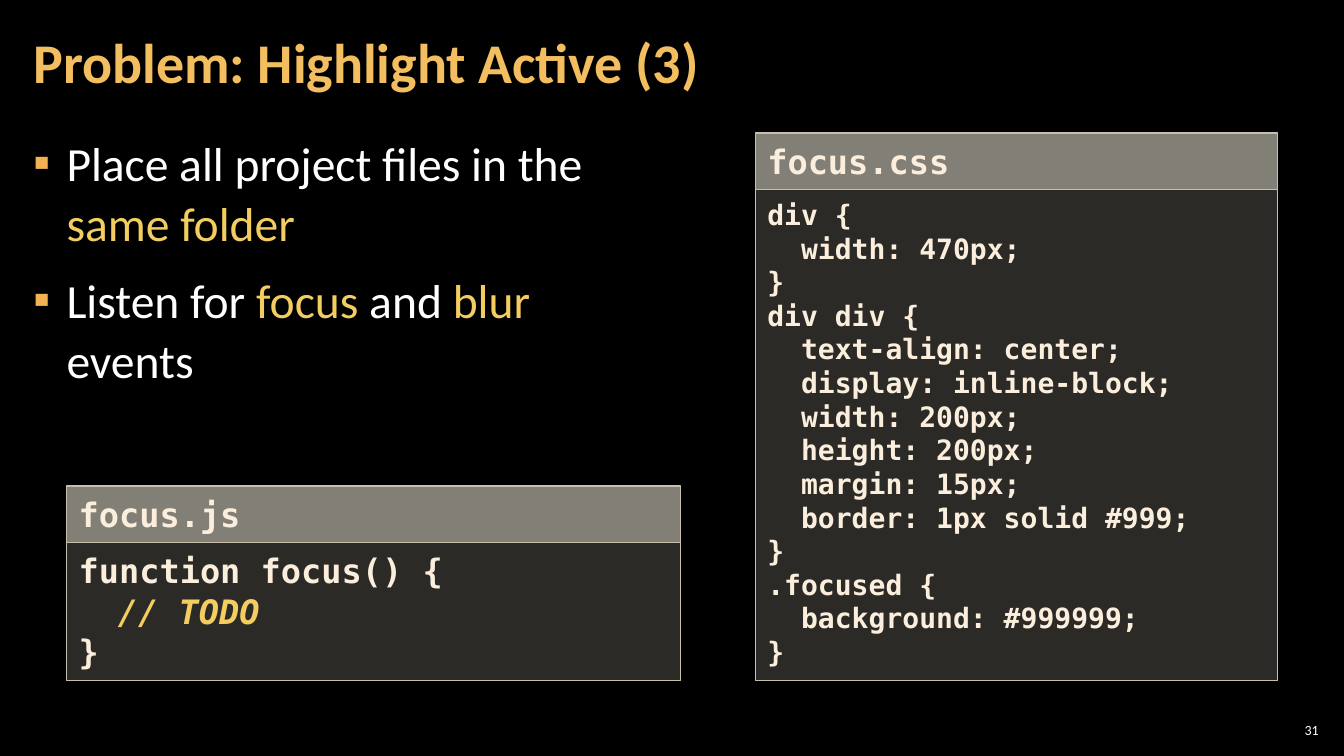
from lxml.etree import SubElement
from pptx import Presentation
from pptx.dml.color import RGBColor
from pptx.enum.shapes import MSO_SHAPE
from pptx.enum.text import MSO_ANCHOR, MSO_AUTO_SIZE, PP_ALIGN
from pptx.oxml.ns import qn
from pptx.util import Inches, Pt

WHITE = "FFFFFF"
GOLD = "F3CD60"
CREAM = "FBEEDC"


def color(hex_string):
    return RGBColor.from_string(hex_string)


def add_text(paragraph, text, font, size, fill, bold=False, italic=False):
    run = paragraph.add_run()
    run.text = text
    run.font.name = font
    run.font.size = Pt(size)
    run.font.color.rgb = color(fill)
    run.font.bold = bold
    run.font.italic = italic


def set_indent(paragraph, inches):
    properties = paragraph._p.get_or_add_pPr()
    properties.set("marL", str(Inches(inches)))
    properties.set("indent", str(-Inches(inches)))
    return properties


class CodeSlide:
    text_font = "Calibri"
    code_font = "DejaVu Sans Mono"
    header_height = 0.56

    def __init__(self, presentation):
        self.slide = presentation.slides.add_slide(presentation.slide_layouts[1])
        self.slide.background.fill.solid()
        self.slide.background.fill.fore_color.rgb = color("000000")

    def frame(self, shape, side, top, anchor=MSO_ANCHOR.TOP):
        frame = shape.text_frame
        frame.word_wrap = True
        frame.auto_size = MSO_AUTO_SIZE.NONE
        frame.vertical_anchor = anchor
        frame.margin_left = frame.margin_right = Inches(side)
        frame.margin_top = frame.margin_bottom = Inches(top)
        return frame

    def place(self, shape, left, top, width, height):
        shape.left, shape.top = Inches(left), Inches(top)
        shape.width, shape.height = Inches(width), Inches(height)

    def title(self, text, *bounds):
        shape = self.slide.shapes.title
        self.place(shape, *bounds)
        paragraph = self.frame(shape, 0.12, 0.04, MSO_ANCHOR.MIDDLE).paragraphs[0]
        paragraph.alignment = PP_ALIGN.LEFT
        paragraph.line_spacing = 0.9
        add_text(paragraph, text, self.text_font, 40, "F3BE60", bold=True)

    def bullets(self, items, *bounds):
        shape = self.slide.placeholders[1]
        self.place(shape, *bounds)
        frame = self.frame(shape, 0.12, 0.04)
        for index, parts in enumerate(items):
            paragraph = frame.add_paragraph() if index else frame.paragraphs[0]
            properties = set_indent(paragraph, 0.33)
            bullet_color = SubElement(properties, qn("a:buClr"))
            SubElement(bullet_color, qn("a:srgbClr"), val="F2B254")
            SubElement(properties, qn("a:buFont"), typeface="Wingdings")
            properties[-1].set("typeface", self.text_font)
            SubElement(properties, qn("a:buChar"), char="▪")
            paragraph.line_spacing = 1.05
            paragraph.space_before = Pt(6 if index else 0)
            paragraph.space_after = Pt(6)
            for text, fill in parts:
                add_text(paragraph, text, self.text_font, 34, fill)

    def panel(self, lines, size, opacity, *bounds):
        shape = self.slide.shapes.add_shape(
            MSO_SHAPE.RECTANGLE, *(Inches(value) for value in bounds))
        shape.shadow.inherit = False
        shape.fill.solid()
        shape.fill.fore_color.rgb = color("D9D5C7")
        fill_color = shape.fill._xPr.find(qn("a:solidFill"))[0]
        SubElement(fill_color, qn("a:alpha"), val=str(opacity * 1000))
        shape.line.color.rgb = color("C7BFAC")
        shape.line.width = Pt(1)
        frame = self.frame(shape, 0.12, 0.08)
        for index, line in enumerate(lines):
            paragraph = frame.add_paragraph() if index else frame.paragraphs[0]
            paragraph.alignment = PP_ALIGN.LEFT
            set_indent(paragraph, 0.39)
            comment = line.lstrip().startswith("//")
            add_text(paragraph, line, self.code_font, size,
                     GOLD if comment else CREAM, bold=True, italic=comment)

    def code_box(self, name, code, size, left, top, width, height):
        body_top = top + self.header_height
        body_height = height - self.header_height
        self.panel(code.split("\n"), size, 20, left, body_top, width, body_height)
        self.panel([name], 24, 60, left, top, width, self.header_height)

    def number(self, text, *bounds):
        shape = self.slide.shapes.add_textbox(*(Inches(value) for value in bounds))
        paragraph = self.frame(shape, 0.04, 0.04, MSO_ANCHOR.MIDDLE).paragraphs[0]
        paragraph.alignment = PP_ALIGN.RIGHT
        add_text(paragraph, text, self.text_font, 10, WHITE)


FOCUS_CSS = """div {
  width: 470px;
}
div div {
  text-align: center;
  display: inline-block;
  width: 200px;
  height: 200px;
  margin: 15px;
  border: 1px solid #999;
}
.focused {
  background: #999999;
}"""

FOCUS_JS = """function focus() {
\t// TODO
}"""

BULLETS = [
    [("Place all project files in the ", WHITE), ("same folder", GOLD)],
    [("Listen for ", WHITE), ("focus", GOLD), (" and ", WHITE),
     ("blur", GOLD), (" events", WHITE)],
]


def main():
    presentation = Presentation()
    presentation.slide_width = Inches(13.33)
    presentation.slide_height = Inches(7.5)
    page = CodeSlide(presentation)
    page.number("31", 12.65, 7.14, 0.47, 0.21)
    page.bullets(BULLETS, 0.21, 1.26, 6.12, 6.09)
    page.title("Problem: Highlight Active (3)", 0.21, 0.04, 10.47, 1.21)
    page.code_box("focus.css", FOCUS_CSS, 20, 7.49, 1.32, 5.18, 5.43)
    page.code_box("focus.js", FOCUS_JS, 24, 0.66, 4.82, 6.09, 1.93)
    presentation.save("out.pptx")


if __name__ == "__main__":
    main()
